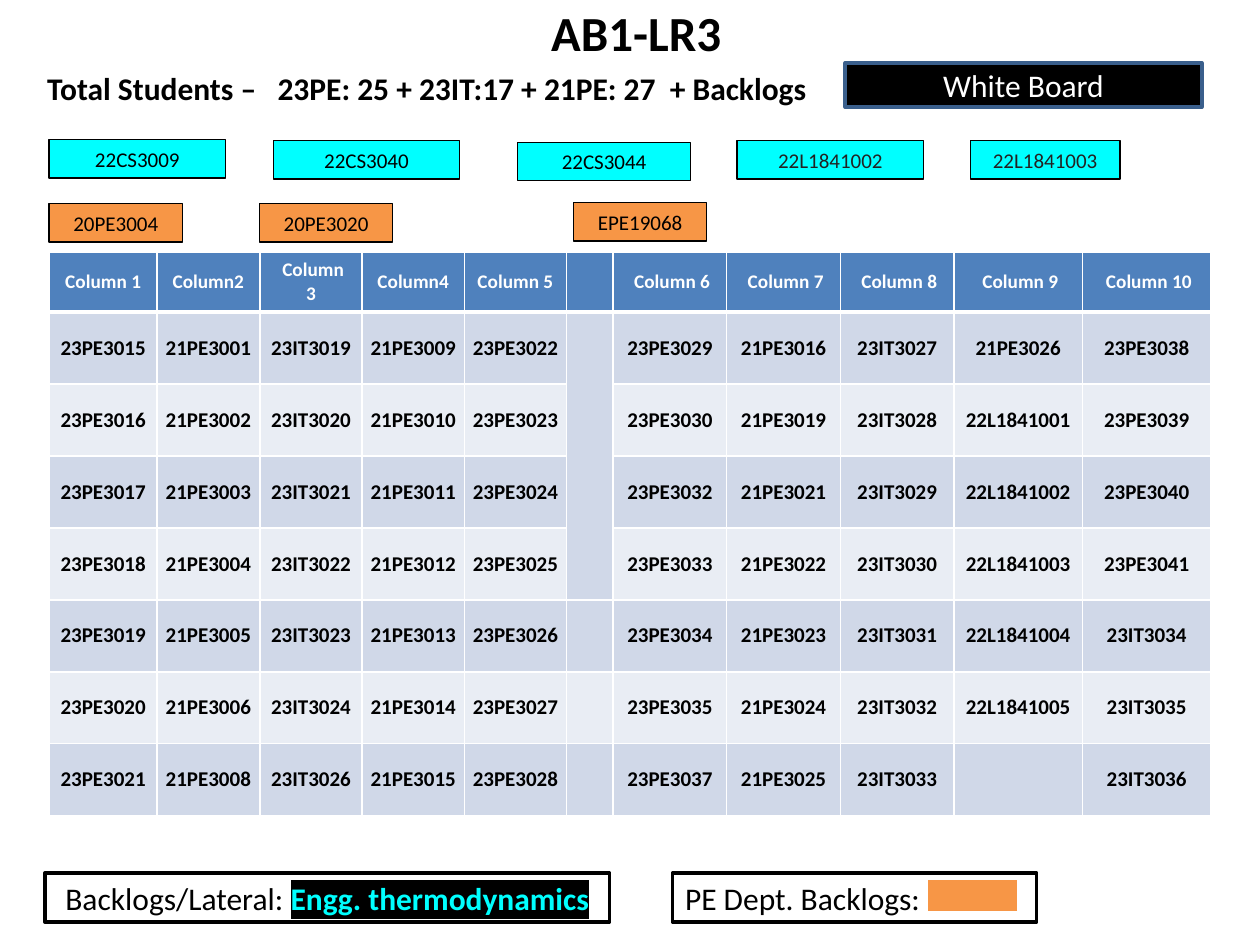
from dataclasses import dataclass

import lxml.etree
import pptx
import pptx.dml.color
import pptx.enum.shapes
import pptx.enum.text
import pptx.oxml.ns
import pptx.util

Cm = pptx.util.Cm
Pt = pptx.util.Pt
PP_ALIGN = pptx.enum.text.PP_ALIGN
ANCHOR = pptx.enum.text.MSO_ANCHOR


@dataclass(frozen=True)
class Theme:
    """Colours and type sizes of the seating plan."""
    font: str = "Calibri"
    black: str = "000000"
    white: str = "FFFFFF"
    dark_grey: str = "222222"
    cyan: str = "00FFFF"
    orange: str = "F79646"
    board_edge: str = "3A5F8C"
    header: str = "4F81BD"
    bands: tuple = ("D0D8E8", "E9EDF4")
    title_size: int = 28
    large_size: int = 18
    seat_size: int = 12
    header_size: int = 11


THEME = Theme()

# Heading and seats of each column, front to back; the empty heading is the aisle.
SEATING = [
    (2.16, "Column 1", "23PE3015 23PE3016 23PE3017 23PE3018 23PE3019 23PE3020 23PE3021"),
    (2.08, "Column2", "21PE3001 21PE3002 21PE3003 21PE3004 21PE3005 21PE3006 21PE3008"),
    (2.06, " Column 3", "23IT3019 23IT3020 23IT3021 23IT3022 23IT3023 23IT3024 23IT3026"),
    (2.06, "Column4", "21PE3009 21PE3010 21PE3011 21PE3012 21PE3013 21PE3014 21PE3015"),
    (2.06, "Column 5", "23PE3022 23PE3023 23PE3024 23PE3025 23PE3026 23PE3027 23PE3028"),
    (0.94, "", ""),
    (2.29, " Column 6", "23PE3029 23PE3030 23PE3032 23PE3033 23PE3034 23PE3035 23PE3037"),
    (2.29, " Column 7", "21PE3016 21PE3019 21PE3021 21PE3022 21PE3023 21PE3024 21PE3025"),
    (2.29, " Column 8", "23IT3027 23IT3028 23IT3029 23IT3030 23IT3031 23IT3032 23IT3033"),
    (2.59, " Column 9", "21PE3026 22L1841001 22L1841002 22L1841003 22L1841004 22L1841005"),
    (2.59, " Column 10", "23PE3038 23PE3039 23PE3040 23PE3041 23IT3034 23IT3035 23IT3036"),
]
SEAT_ROWS = 7
AISLE = 5

# Left, top, width, roll number, text colour.
LATERAL_STUDENTS = [
    (0.99, 2.82, 3.56, "22CS3009", THEME.black),
    (5.51, 2.84, 3.76, "22CS3040", THEME.black),
    (10.44, 2.87, 3.48, "22CS3044", THEME.black),
    (14.86, 2.84, 3.76, "22L1841002", THEME.dark_grey),
    (19.56, 2.84, 3.02, "22L1841003", THEME.dark_grey),
]
DEPT_STUDENTS = [
    (0.99, 4.11, 2.69, "20PE3004", THEME.black),
    (5.23, 4.11, 2.69, "20PE3020", THEME.black),
    (11.56, 4.09, 2.69, "EPE19068", THEME.black),
]


def rgb(value):
    """Turn a hex string into a colour."""
    return pptx.dml.color.RGBColor.from_string(value)


def style(paragraph, size, color, bold=False, align=PP_ALIGN.CENTER):
    """Set the font and alignment of a paragraph."""
    paragraph.alignment = align
    font = paragraph.font
    font.name, font.size, font.bold = THEME.font, Pt(size), bold
    font.color.rgb = rgb(color)


def add_heading(slide, box, text, size, align):
    """Add a bold line of text without a frame."""
    frame = slide.shapes.add_textbox(*map(Cm, box)).text_frame
    frame.word_wrap = True
    frame.text = text
    style(frame.paragraphs[0], size, THEME.black, True, align)


def add_label(slide, box, text, fill, line, line_width, size, color,
              align=PP_ALIGN.CENTER):
    """Add a framed rectangle with one line of text; return its paragraph."""
    label = slide.shapes.add_shape(
        pptx.enum.shapes.MSO_SHAPE.RECTANGLE, *map(Cm, box))
    label.shadow.inherit = False
    label.fill.solid()
    label.fill.fore_color.rgb = rgb(fill)
    label.line.color.rgb = rgb(line)
    label.line.width = Pt(line_width)
    paragraph = label.text_frame.paragraphs[0]
    paragraph.add_run().text = text
    style(paragraph, size, color, align=align)
    return paragraph


def add_highlighted(paragraph, text, color, highlight):
    """Append a bold run on a highlighted ground."""
    run = paragraph.add_run()
    run.text = text
    run.font.bold = True
    run.font.color.rgb = rgb(color)
    qn = pptx.oxml.ns.qn
    mark = lxml.etree.SubElement(run.font._element, qn("a:highlight"))
    lxml.etree.SubElement(mark, qn("a:srgbClr")).set("val", highlight)


def format_cell(cell, fill, bottom=1):
    """Give a cell white borders, a fill and middle anchoring."""
    qn = pptx.oxml.ns.qn
    properties = cell._tc.get_or_add_tcPr()
    for side, width in (("L", 1), ("R", 1), ("T", 1), ("B", bottom)):
        border = lxml.etree.SubElement(properties, qn("a:ln" + side))
        border.set("w", str(Pt(width)))
        paint = lxml.etree.SubElement(border, qn("a:solidFill"))
        lxml.etree.SubElement(paint, qn("a:srgbClr")).set("val", THEME.white)
    cell.fill.solid()
    cell.fill.fore_color.rgb = rgb(fill)
    cell.vertical_anchor = ANCHOR.MIDDLE


def set_margins(cell, side):
    """Set the side margins and drop the top and bottom ones."""
    cell.margin_left = cell.margin_right = Cm(side)
    cell.margin_top = cell.margin_bottom = 0


def add_seating(slide):
    """Add the table of seats, with the aisle joined over the first four rows."""
    total_width = sum(width for width, _, _ in SEATING)
    seating = slide.shapes.add_table(
        SEAT_ROWS + 1, len(SEATING), Cm(1), Cm(5.08), Cm(total_width), Cm(11.15)).table
    for index, row in enumerate(seating.rows):
        row.height = Cm(1.45 if index else 1)
    for column, (width, heading, seats) in enumerate(SEATING):
        seating.columns[column].width = Cm(width)
        students = seats.split()
        students += [""] * (SEAT_ROWS - len(students))
        for row, text in enumerate([heading] + students):
            cell = seating.cell(row, column)
            cell.text = text
            if row == 0:
                format_cell(cell, THEME.header, bottom=3)
                style(cell.text_frame.paragraphs[0], THEME.header_size, THEME.white, True)
            else:
                format_cell(cell, THEME.bands[(row - 1) % 2])
                set_margins(cell, 0.08)
                style(cell.text_frame.paragraphs[0], THEME.seat_size, THEME.black, True)
    seating.cell(1, AISLE).merge(seating.cell(4, AISLE))


def add_swatch(slide):
    """Add the one-cell table that keys the department backlogs."""
    swatch = slide.shapes.add_table(
        1, 1, Cm(18.69), Cm(17.73), Cm(1.83), Cm(0.69)).table
    cell = swatch.cell(0, 0)
    format_cell(cell, THEME.orange, bottom=3)
    set_margins(cell, 0)
    style(cell.text_frame.paragraphs[0], THEME.header_size, THEME.black)


def main():
    """Build the seating plan."""
    deck = pptx.Presentation()
    deck.slide_width, deck.slide_height = Cm(25.4), Cm(19.05)
    slide = deck.slides.add_slide(deck.slide_layouts[6])

    add_seating(slide)
    add_heading(slide, (0.25, -0.08, 25.15, 1.45), "AB1-LR3",
                THEME.title_size, PP_ALIGN.CENTER)
    add_label(slide, (17.04, 1.27, 7.19, 0.89), "White Board", THEME.black,
              THEME.board_edge, 2, THEME.large_size, THEME.white)
    add_heading(slide, (0.56, 1.27, 16.15, 1.02),
                " Total Students –   23PE: 25 + 23IT:17 + 21PE: 27  + Backlogs",
                THEME.large_size, PP_ALIGN.LEFT)

    for students, fill in ((LATERAL_STUDENTS, THEME.cyan), (DEPT_STUDENTS, THEME.orange)):
        for left, top, width, roll_number, color in students:
            add_label(slide, (left, top, width, 0.77), roll_number, fill,
                      THEME.black, 0.75, THEME.seat_size, color)

    lateral_key = add_label(slide, (0.91, 17.6, 11.38, 0.99), "Backlogs/Lateral: ",
                            THEME.white, THEME.black, 2, THEME.large_size, THEME.black)
    add_highlighted(lateral_key, "Engg. thermodynamics", THEME.cyan, THEME.black)
    add_label(slide, (13.56, 17.6, 7.34, 0.99), "PE Dept. Backlogs:", THEME.white,
              THEME.black, 2, THEME.large_size, THEME.black, PP_ALIGN.LEFT)
    add_swatch(slide)
    deck.save("out.pptx")


main()
